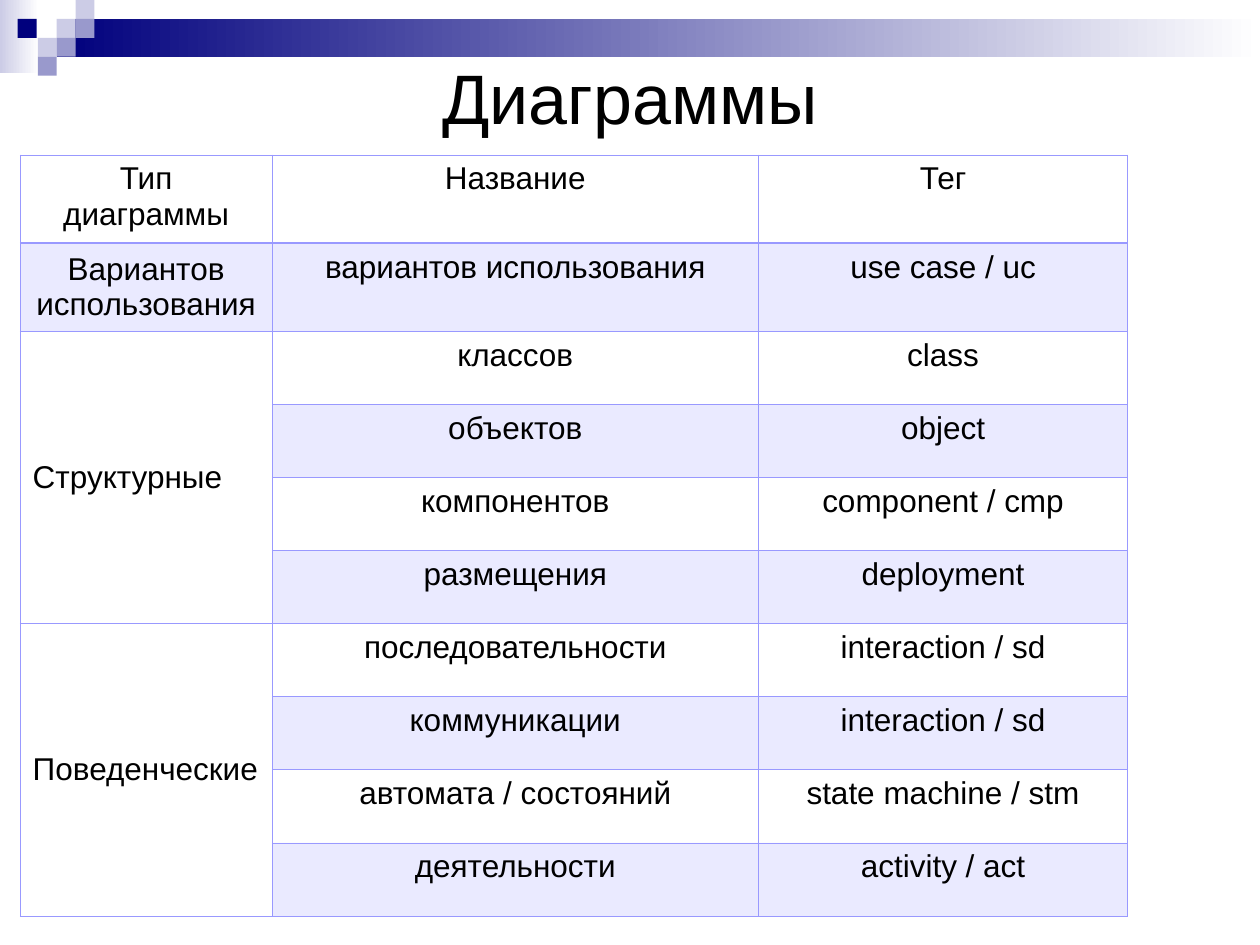
"""Build the slide listing diagram types, names and tags."""
from typing import NamedTuple

from lxml.etree import SubElement
from pptx import Presentation
from pptx.dml.color import RGBColor
from pptx.enum.shapes import MSO_SHAPE
from pptx.enum.text import MSO_ANCHOR, PP_ALIGN
from pptx.oxml.ns import qn
from pptx.util import Inches, Pt

BLACK = RGBColor(0x00, 0x00, 0x00)
WHITE = RGBColor(0xFF, 0xFF, 0xFF)
NAVY = RGBColor(0x00, 0x00, 0x7D)
LAVENDER = RGBColor(0xCC, 0xCC, 0xE6)
VIOLET = RGBColor(0x99, 0x99, 0xCC)
PERIWINKLE = RGBColor(0x99, 0x99, 0xFF)

FONT = "Arial"
TILE = 0.15
THIN, THICK = Pt(0.45), Pt(0.96)
COLUMN_WIDTHS = (2, 3.86, 2.93)
ROW_HEIGHTS = (0.7,) * 2 + (0.58,) * 8
GROUP_STARTS = (2, 6)
GROUP_SIZE = 4


class Block(NamedTuple):
    left: float
    top: float
    width: float
    height: float
    color: RGBColor
    fades: bool = False


class Row(NamedTuple):
    kind: str
    name: str
    tag: str


BLOCKS = (
    Block(0, 0, 0.31, 0.58, LAVENDER, True),
    Block(0.45, 0.15, 9.55, 0.3, NAVY, True),
    Block(0.45, 0.15, TILE, TILE, LAVENDER),
    Block(0.6, 0, TILE, TILE, LAVENDER),
    Block(0.6, 0.15, TILE, TILE, VIOLET),
    Block(0.3, 0.3, TILE, TILE, LAVENDER),
    Block(0.14, 0.15, TILE, TILE, NAVY),
    Block(0.45, 0.3, TILE, TILE, VIOLET),
    Block(0.3, 0.45, TILE, TILE, VIOLET),
)
ROWS = (
    Row("Тип диаграммы", "Название", "Тег"),
    Row("Вариантов использования", "вариантов использования", "use case / uc"),
    Row("Структурные", "классов", "class"),
    Row("", "объектов", "object"),
    Row("", "компонентов", "component / cmp"),
    Row("", "размещения", "deployment"),
    Row("Поведенческие", "последовательности", "interaction / sd"),
    Row("", "коммуникации", "interaction / sd"),
    Row("", "автомата / состояний", "state machine / stm"),
    Row("", "деятельности", "activity / act"),
)


def draw_block(page, block: Block) -> None:
    shape = page.shapes.add_shape(
        MSO_SHAPE.RECTANGLE, *(Inches(value) for value in block[:4])
    )
    shape.shadow.inherit = False
    shape.line.fill.background()
    if block.fades:
        shape.fill.gradient()
        shape.fill.gradient_angle = 0
        for stop, color in zip(shape.fill.gradient_stops, (block.color, WHITE)):
            stop.color.rgb = color
    else:
        shape.fill.solid()
        shape.fill.fore_color.rgb = block.color


def write_text(frame, text: str, size: int, alignment: PP_ALIGN) -> None:
    frame.text = text
    para = frame.paragraphs[0]
    para.alignment = alignment
    for span in para.runs:
        span.font.name = FONT
        span.font.size = Pt(size)
        span.font.color.rgb = BLACK


def fill_cell(cell, shaded: bool) -> None:
    if not shaded:
        cell.fill.background()
        return
    cell.fill.solid()
    cell.fill.fore_color.rgb = PERIWINKLE
    color = cell._tc.tcPr.find(qn("a:solidFill"))[0]
    SubElement(color, qn("a:alpha"), val="20000")


def add_borders(cell, row_index: int) -> None:
    properties = cell._tc.get_or_add_tcPr()
    widths = {
        "a:lnL": THIN,
        "a:lnR": THIN,
        "a:lnT": THICK if row_index == 1 else THIN,
        "a:lnB": THICK if row_index == 0 else THIN,
    }
    for position, (side, width) in enumerate(widths.items()):
        line = SubElement(properties, qn(side), w=str(int(width)))
        paint = SubElement(line, qn("a:solidFill"))
        SubElement(paint, qn("a:srgbClr"), val=str(PERIWINKLE))
        properties.insert(position, line)


def draw_table(page) -> None:
    table = page.shapes.add_table(
        len(ROWS), len(COLUMN_WIDTHS), Inches(0.16), Inches(1.23),
        Inches(sum(COLUMN_WIDTHS)), Inches(sum(ROW_HEIGHTS)),
    ).table
    table.first_row = False
    table.horz_banding = False
    for column, width in zip(table.columns, COLUMN_WIDTHS):
        column.width = Inches(width)
    for row, height in zip(table.rows, ROW_HEIGHTS):
        row.height = Inches(height)
    for start in GROUP_STARTS:
        table.cell(start, 0).merge(table.cell(start + GROUP_SIZE - 1, 0))
    for row_index, row in enumerate(ROWS):
        for column_index, text in enumerate(row):
            cell = table.cell(row_index, column_index)
            grouped = column_index == 0 and row_index >= GROUP_STARTS[0]
            fill_cell(cell, row_index % 2 == 1 and not grouped)
            add_borders(cell, row_index)
            if column_index == 0 and row_index > 0:
                cell.vertical_anchor = MSO_ANCHOR.MIDDLE
            if text:
                alignment = PP_ALIGN.LEFT if grouped else PP_ALIGN.CENTER
                write_text(cell.text_frame, text, 18, alignment)


def main() -> None:
    deck = Presentation()
    deck.slide_width, deck.slide_height = Inches(10), Inches(7.5)
    page = deck.slides.add_slide(deck.slide_layouts[5])
    for block in BLOCKS:
        draw_block(page, block)
    title = page.shapes.title
    title.left, title.top = Inches(0.5), Inches(0.5)
    title.width, title.height = Inches(9), Inches(0.53)
    title.text_frame.vertical_anchor = MSO_ANCHOR.MIDDLE
    write_text(title.text_frame, "Диаграммы", 40, PP_ALIGN.CENTER)
    draw_table(page)
    deck.save("out.pptx")


if __name__ == "__main__":
    main()
